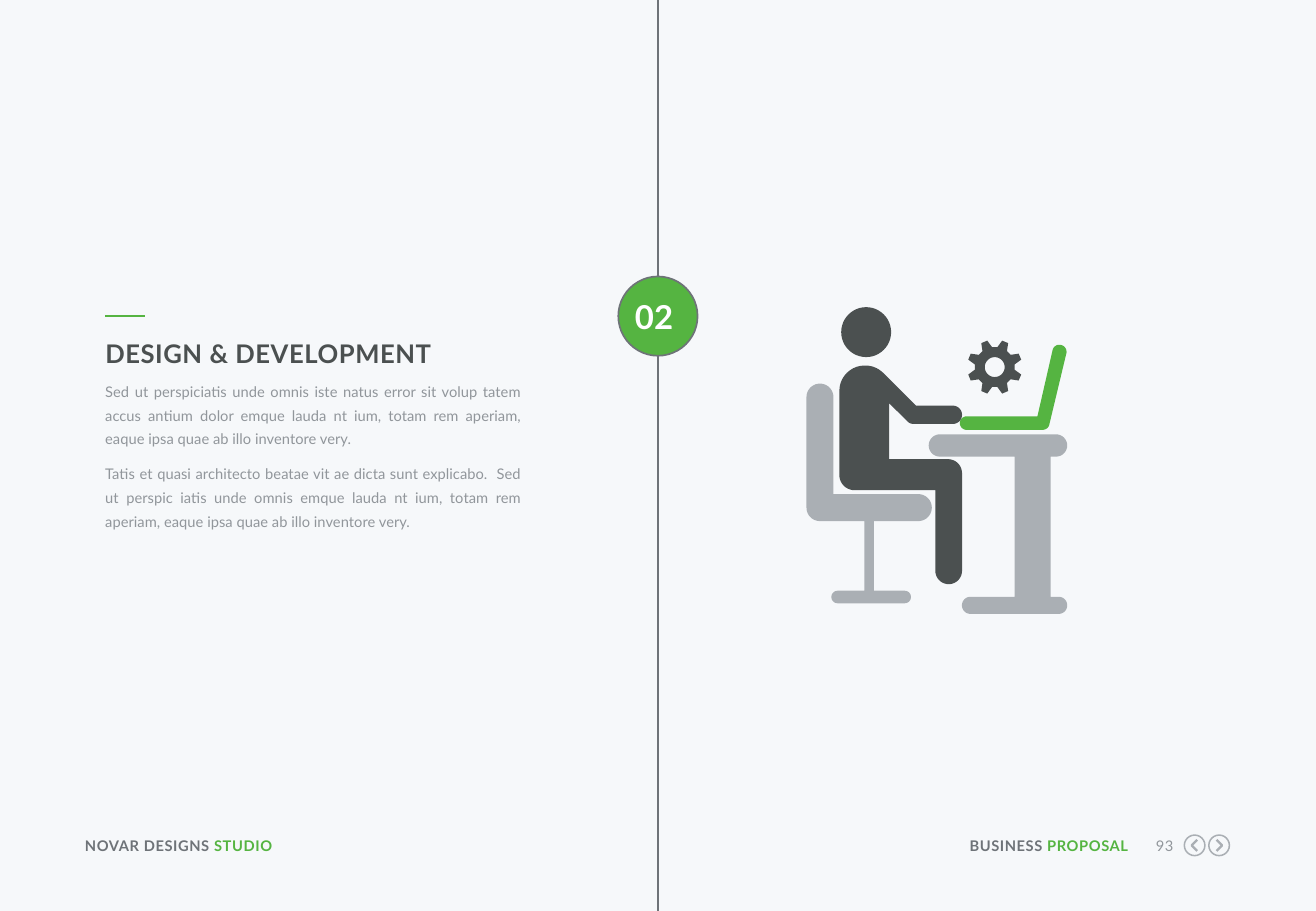
from math import atan2, cos, hypot, pi, radians, sin, tan

from lxml import etree
from pptx import Presentation
from pptx.dml.color import RGBColor
from pptx.enum.shapes import MSO_CONNECTOR, MSO_SHAPE
from pptx.enum.text import MSO_ANCHOR, MSO_AUTO_SIZE, PP_ALIGN
from pptx.oxml.ns import qn
from pptx.util import Pt

OVAL = MSO_SHAPE.OVAL
STRAIGHT = MSO_CONNECTOR.STRAIGHT
TOP, FIXED = MSO_ANCHOR.TOP, MSO_AUTO_SIZE.NONE
LEFT, CENTER, RIGHT, JUSTIFY = PP_ALIGN.LEFT, PP_ALIGN.CENTER, PP_ALIGN.RIGHT, PP_ALIGN.JUSTIFY

PAPER = RGBColor(0xF6, 0xF8, 0xFA)
GREEN = RGBColor(0x55, 0xB4, 0x41)
DARK = RGBColor(0x4B, 0x50, 0x50)
SLATE = RGBColor(0x6E, 0x73, 0x78)
GREY = RGBColor(0x91, 0x96, 0x9B)
SILVER = RGBColor(0xAA, 0xAF, 0xB4)
WHITE = RGBColor(0xFF, 0xFF, 0xFF)


def polar(cx, cy, radius, angle):
    return cx + radius * cos(angle), cy + radius * sin(angle)


def rounded(corners, steps=10):
    """Turn (x, y, radius) corners into the points of a rounded outline."""
    points = []
    for i, (x, y, radius) in enumerate(corners):
        if not radius:
            points.append((x, y))
            continue
        before, after = corners[i - 1], corners[(i + 1) % len(corners)]
        a = atan2(before[1] - y, before[0] - x)
        b = atan2(after[1] - y, after[0] - x)
        turn = (b - a + pi) % (2 * pi) - pi
        cx, cy = polar(x, y, radius / sin(abs(turn) / 2), a + turn / 2)
        tx, ty = polar(x, y, radius / tan(abs(turn) / 2), a)
        start = atan2(ty - cy, tx - cx)
        sweep = -(pi - abs(turn)) * (1 if turn > 0 else -1)
        points += [polar(cx, cy, hypot(tx - cx, ty - cy), start + sweep * k / steps)
                   for k in range(steps + 1)]
    return points


class Page:
    font = "Lato"

    def __init__(self, prs):
        self.slide = prs.slides.add_slide(prs.slide_layouts[5])
        self.shapes = self.slide.shapes
        fill = self.slide.background.fill
        fill.solid()
        fill.fore_color.rgb = PAPER

    def paint(self, sp, fill=None, line=None, width=1):
        sp.shadow.inherit = False
        if fill is None:
            sp.fill.background()
        else:
            sp.fill.solid()
            sp.fill.fore_color.rgb = fill
        if line is None:
            sp.line.fill.background()
        else:
            sp.line.color.rgb = line
            sp.line.width = Pt(width)

    def circle(self, cx, cy, diameter, **look):
        sp = self.shapes.add_shape(OVAL, Pt(cx - diameter / 2), Pt(cy - diameter / 2),
                                   Pt(diameter), Pt(diameter))
        self.paint(sp, **look)

    def outline(self, *contours, closed=True, **look):
        paths = [[(Pt(x), Pt(y)) for x, y in contour] for contour in contours]
        builder = self.shapes.build_freeform(*paths[0][0])
        builder.add_line_segments(paths[0][1:], close=closed)
        for points in paths[1:]:
            builder.move_to(*points[0])
            builder.add_line_segments(points[1:], close=closed)
        self.paint(builder.convert_to_shape(), **look)

    def line(self, x1, y1, x2, y2, color, width=1):
        s = self.shapes.add_connector(STRAIGHT, Pt(x1), Pt(y1), Pt(x2), Pt(y2))
        s.line.color.rgb = color
        s.line.width = Pt(width)
        etree.SubElement(s._element.spPr, qn("a:effectLst"))

    def set_text(self, sp, paragraphs, size, color, bold=False, align=LEFT,
                 spacing=0, leading=None, after=0):
        """Each paragraph is a list of (text, colour or None) runs."""
        tf = sp.text_frame
        tf.margin_left = tf.margin_top = tf.margin_right = tf.margin_bottom = 0
        tf.word_wrap = True
        tf.auto_size = FIXED
        tf.vertical_anchor = TOP
        for i, runs in enumerate(paragraphs):
            p = tf.add_paragraph() if i else tf.paragraphs[0]
            p.alignment = align
            p.space_after = Pt(after)
            if leading:
                p.line_spacing = Pt(leading)
            p.font.name = self.font
            p.font.size = Pt(size)
            p.font.bold = bold
            p.font.color.rgb = color
            p._p.pPr.find(qn("a:defRPr")).set("spc", str(round(spacing * 100)))
            for text, accent in runs:
                r = p.add_run()
                r.text = text
                if accent is not None:
                    r.font.color.rgb = accent

    def text(self, x, y, w, h, paragraphs, **style):
        sp = self.shapes.add_textbox(Pt(x), Pt(y), Pt(w), Pt(h))
        self.set_text(sp, paragraphs, **style)

    def title(self, x, y, w, h, text, **style):
        sp = self.shapes.title
        sp.left, sp.top, sp.width, sp.height = Pt(x), Pt(y), Pt(w), Pt(h)
        self.set_text(sp, [[(text, None)]], **style)


def draw_footer(page):
    y, h = 496.1, 10.8
    label = dict(size=8.7, color=SLATE, bold=True, spacing=0.3)
    page.text(50.4, y, 152, h, [[("NOVAR DESIGNS ", None), ("STUDIO", GREEN)]], **label)
    page.text(570.2, y, 98.6, h, [[("BUSINESS ", None), ("PROPOSAL", GREEN)]],
              align=RIGHT, **label)
    page.text(677.5, y, 18, h, [[("93", None)]], size=8.7, color=GREY,
              align=RIGHT, spacing=0.3)
    # Previous and next buttons
    cy = 501.1
    for cx, side in ((708.1, 1), (722.6, -1)):
        page.circle(cx, cy, 12.2, line=SILVER, width=0.9)
        tip, end = cx - 1.8 * side, cx + 1.5 * side
        page.outline([(end, cy - 3.3), (tip, cy), (end, cy + 3.3)],
                     closed=False, line=SILVER, width=1.4)


def draw_timeline(page):
    x, cy, diameter = 390, 187.4, 47
    page.circle(x, cy, diameter, fill=GREEN, line=SLATE)
    page.line(x, cy + diameter / 2, x, 540, SLATE)
    page.line(x, 0, x, cy - diameter / 2, SLATE)
    page.text(373.5, 175.7, 28.4, 23.8, [[("02", None)]], size=19.5, color=WHITE,
              bold=True, align=CENTER, spacing=0.2)


def draw_copy(page):
    x = 62.4
    page.line(x, 187.2, x + 23.4, 187.2, GREEN, 1.5)
    page.title(x, 200.2, 247.7, 18.4, "DESIGN & DEVELOPMENT", size=15.2, color=DARK,
               bold=True, spacing=0.3, leading=18.4, after=6.5)
    page.text(x, 223.2, 246.6, 92, [
        [("Sed ut perspiciatis unde omnis iste natus error sit volup tatem accus antium dolor "
          "emque lauda nt ium, totam rem aperiam, eaque ipsa quae ab illo inventore very.", None)],
        [("Tatis et quasi architecto beatae vit ae dicta sunt explicabo.  Sed ut perspic iatis "
          "unde omnis emque lauda nt ium, totam rem aperiam, eaque ipsa quae ab illo "
          "inventore very.", None)],
    ], size=8.7, color=GREY, align=JUSTIFY, leading=14.1, after=6.5)


def draw_worker(page):
    # Desk
    page.outline(rounded([
        (550.5, 257.5, 6.6), (632.6, 257.5, 6.6), (632.6, 270.7, 6.6), (622.8, 270.7, 0),
        (622.8, 353.8, 0), (632.6, 353.8, 5), (632.6, 363.9, 5), (570.2, 363.9, 5),
        (570.2, 353.8, 5), (601.4, 353.8, 0), (601.4, 270.7, 0), (550.5, 270.7, 6.6)]),
        fill=SILVER)
    # Laptop
    page.outline(rounded([
        (568.9, 246.8, 4), (614.9, 246.8, 0), (624.8, 203.5, 4.1), (633, 205.5, 4.1),
        (621.2, 254.8, 4), (568.9, 254.8, 4)]), fill=GREEN)
    # Person
    page.outline(rounded([
        (497.5, 216.7, 15), (519.1, 216.7, 15), (542.9, 240.5, 0), (570.2, 240.5, 5.4),
        (570.2, 251.3, 5.4), (539.3, 251.3, 5), (527, 239, 0), (527, 272.2, 0),
        (570.2, 272.2, 8.3), (570.2, 346.3, 7.9), (554.4, 346.3, 7.9), (554.4, 290.6, 0),
        (497.5, 290.6, 9)]), fill=DARK)
    page.circle(513.4, 196.9, 29.6, fill=DARK)
    # Chair
    page.outline(rounded([
        (478, 227.4, 8), (494, 227.4, 8), (494, 292.9, 0), (552.3, 292.9, 8),
        (552.3, 308.9, 8), (517.9, 308.9, 0), (517.9, 350.2, 0), (539.9, 350.2, 3.6),
        (539.9, 357.6, 3.6), (492.8, 357.6, 3.6), (492.8, 350.2, 3.6), (512.3, 350.2, 0),
        (512.3, 308.9, 0), (478, 308.9, 8)]), fill=SILVER)
    # Gear with eight teeth
    cx, cy = 589.6, 217.6
    profile = ((11.9, -15), (16.3, -6.8), (16.3, 6.8), (11.9, 15))
    teeth = [polar(cx, cy, radius, radians(22.5 + 45 * i + angle))
             for i in range(8) for radius, angle in profile]
    hole = [polar(cx, cy, 5.9, radians(-10 * k)) for k in range(36)]
    page.outline(teeth, hole, fill=DARK)


def main():
    prs = Presentation()
    prs.slide_width, prs.slide_height = Pt(780), Pt(540)
    page = Page(prs)
    draw_footer(page)
    draw_timeline(page)
    draw_worker(page)
    draw_copy(page)
    prs.save("out.pptx")


if __name__ == "__main__":
    main()
